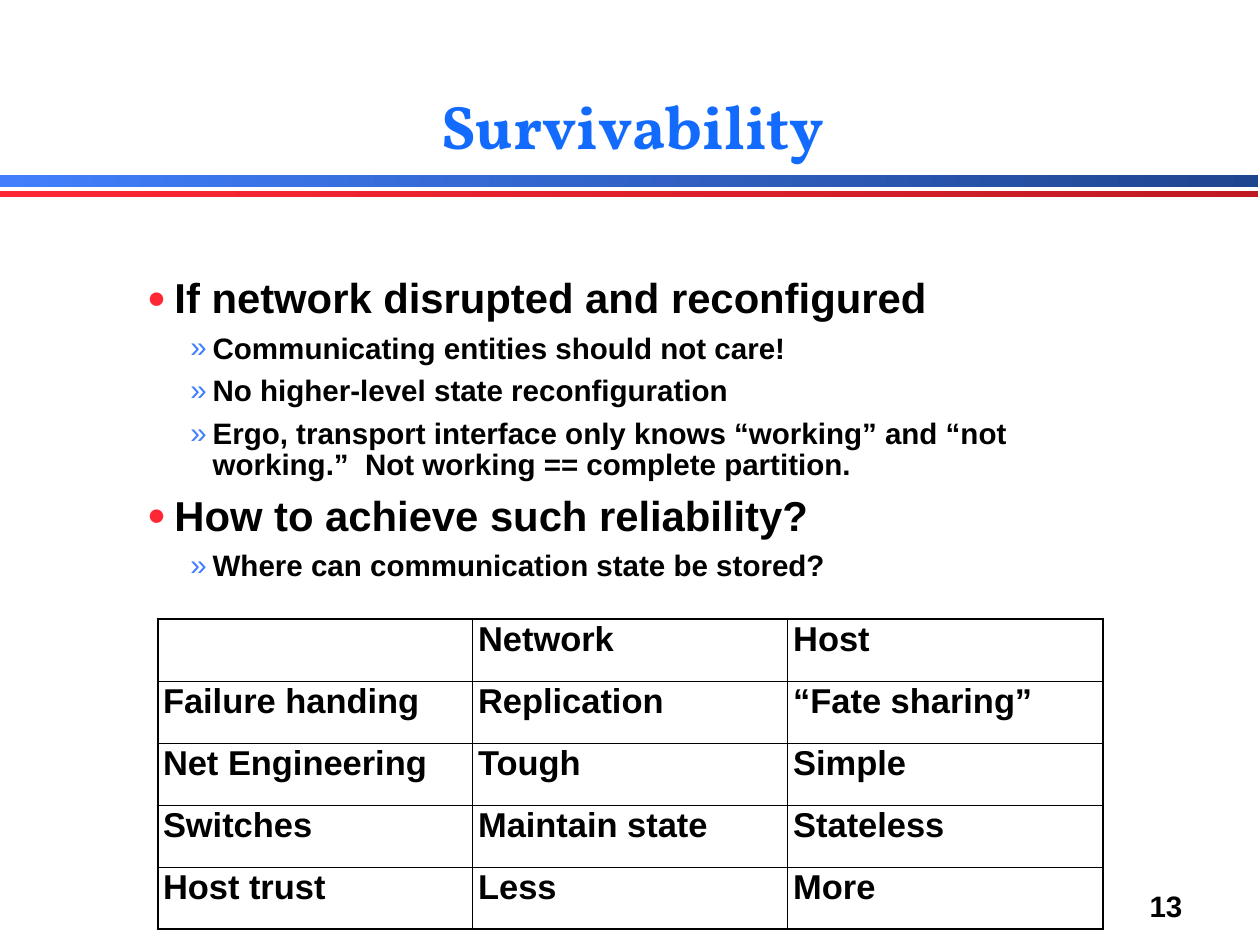
from dataclasses import dataclass

from lxml import etree
from pptx import Presentation
from pptx import util as u
from pptx.dml.color import RGBColor
from pptx.enum import shapes, text
from pptx.oxml import ns


@dataclass(frozen=True)
class Theme:
    black: str = "000000"
    title_blue: str = "126BFC"
    bullet_red: str = "FF2734"
    bullet_blue: str = "417FFC"
    blue_band: tuple = ("417FFC", "204590")
    red_band: tuple = ("FF2734", "BF1A23")
    title_font: str = "Vollkorn"
    body_font: str = "Arial"
    title_size: int = 50
    heading_size: int = 34
    table_size: int = 28
    detail_size: int = 24
    line_spacing: float = 0.89
    margin: float = 0.06
    thin: float = 1
    thick: float = 2.25


THEME = Theme()

OUTLINE = [
    (0, "If network disrupted and reconfigured"),
    (1, "Communicating entities should not care!"),
    (1, "No higher-level state reconfiguration"),
    (1, "Ergo, transport interface only knows “working” and “not working.”  "
        "Not working == complete partition."),
    (0, "How to achieve such reliability?"),
    (1, "Where can communication state be stored?"),
]

COMPARISON = [
    ("", "Network", "Host"),
    ("Failure handing", "Replication", "“Fate sharing”"),
    ("Net Engineering", "Tough", "Simple"),
    ("Switches", "Maintain state", "Stateless"),
    ("Host trust", "Less", "More"),
]


def inches(*lengths):
    return [u.Inches(length) for length in lengths]


def add_xml(parent, tag, **attributes):
    return etree.SubElement(parent, ns.qn(tag), attributes)


def set_margins(target):
    """Give a text frame or table cell the same margin on each side."""
    for side in ("left", "top", "right", "bottom"):
        setattr(target, f"margin_{side}", u.Inches(THEME.margin))


def format_paragraph(paragraph, size, color=THEME.black, font=THEME.body_font):
    paragraph.line_spacing = THEME.line_spacing
    for run in paragraph.runs:
        run.font.name = font
        run.font.size = u.Pt(size)
        run.font.bold = True
        run.font.color.rgb = RGBColor.from_string(color)


def set_indent(paragraph, left, first_line):
    properties = paragraph._p.get_or_add_pPr()
    properties.set("marL", str(u.Inches(left)))
    properties.set("indent", str(u.Inches(first_line)))
    return properties


def add_bullet(properties, character, color, percent):
    add_xml(add_xml(properties, "a:buClr"), "a:srgbClr", val=color)
    add_xml(properties, "a:buSzPct", val=str(percent * 1000))
    add_xml(properties, "a:buFont", typeface=THEME.body_font)
    add_xml(properties, "a:buChar", char=character)


def place_title(slide, left, top, width, height):
    title = slide.shapes.title
    title.left, title.top, title.width, title.height = inches(left, top, width, height)
    frame = title.text_frame
    frame.text = "Survivability"
    frame.word_wrap = True
    frame.auto_size = text.MSO_AUTO_SIZE.NONE
    frame.vertical_anchor = text.MSO_ANCHOR.BOTTOM
    set_margins(frame)
    paragraph = frame.paragraphs[0]
    paragraph.alignment = text.PP_ALIGN.CENTER
    set_indent(paragraph, 0, 0.06)
    format_paragraph(paragraph, THEME.title_size, THEME.title_blue, THEME.title_font)


def add_divider(slide, left, top, width):
    """Draw the blue band with the thinner red band below it."""
    for offset, height, colors in ((0, 0.13, THEME.blue_band), (0.18, 0.06, THEME.red_band)):
        band = slide.shapes.add_shape(
            shapes.MSO_SHAPE.RECTANGLE, *inches(left, top + offset, width, height))
        band.shadow.inherit = False
        band.line.fill.background()
        band.fill.gradient()
        band.fill.gradient_angle = 0
        for position, (stop, color) in enumerate(zip(band.fill.gradient_stops, colors)):
            stop.position = position
            stop.color.rgb = RGBColor.from_string(color)


def add_outline(slide, left, top, width, height):
    frame = slide.shapes.add_textbox(*inches(left, top, width, height)).text_frame
    frame.word_wrap = True
    set_margins(frame)
    frame.text = "\n".join(line for _, line in OUTLINE)
    for paragraph, (level, _) in zip(frame.paragraphs, OUTLINE):
        paragraph.level = level
        format_paragraph(paragraph, THEME.detail_size if level else THEME.heading_size)
        paragraph.space_before = u.Pt(9 if level else 11)
        if level:
            add_bullet(set_indent(paragraph, 0.79, -0.25), "»", THEME.bullet_blue, 100)
        else:
            add_bullet(set_indent(paragraph, 0.36, -0.31), "●", THEME.bullet_red, 75)


def set_borders(cell, outer_sides):
    """Draw the cell's borders, thick on the table's outer sides."""
    properties = cell._tc.get_or_add_tcPr()
    for index, side in enumerate("LRTB"):
        width = THEME.thick if side in outer_sides else THEME.thin
        line = etree.Element(ns.qn(f"a:ln{side}"), w=str(u.Pt(width)))
        add_xml(add_xml(line, "a:solidFill"), "a:srgbClr", val=THEME.black)
        properties.insert(index, line)


def add_comparison(slide, left, top, width, height):
    row_count, column_count = len(COMPARISON), len(COMPARISON[0])
    table = slide.shapes.add_table(
        row_count, column_count, *inches(left, top, width, height)).table
    table.first_row = table.horz_banding = False
    for row, values in enumerate(COMPARISON):
        for column, value in enumerate(values):
            cell = table.cell(row, column)
            cell.text = value
            set_margins(cell)
            format_paragraph(cell.text_frame.paragraphs[0], THEME.table_size)
            cell.fill.background()
            edges = {"L": column == 0, "R": column == column_count - 1,
                     "T": row == 0, "B": row == row_count - 1}
            set_borders(cell, [side for side, outer in edges.items() if outer])


def add_page_number(slide, left, top, width, height):
    frame = slide.shapes.add_textbox(*inches(left, top, width, height)).text_frame
    frame.text = "13"
    frame.word_wrap = False
    frame.auto_size = text.MSO_AUTO_SIZE.SHAPE_TO_FIT_TEXT
    set_margins(frame)
    paragraph = frame.paragraphs[0]
    format_paragraph(paragraph, THEME.detail_size)
    paragraph.line_spacing = 1.0
    paragraph.alignment = text.PP_ALIGN.CENTER


def main():
    presentation = Presentation()
    presentation.slide_width, presentation.slide_height = inches(14.22, 10.67)
    slide = presentation.slides.add_slide(presentation.slide_layouts[5])
    add_page_number(slide, 12.91, 9.97, 0.5, 0.49)
    add_divider(slide, 0, 1.98, 14.2)
    place_title(slide, 1.55, 0, 11.13, 1.9)
    add_outline(slide, 1.55, 3.08, 11.13, 7.59)
    add_comparison(slide, 1.78, 6.99, 10.67, 3.5)
    presentation.save("out.pptx")


if __name__ == "__main__":
    main()
